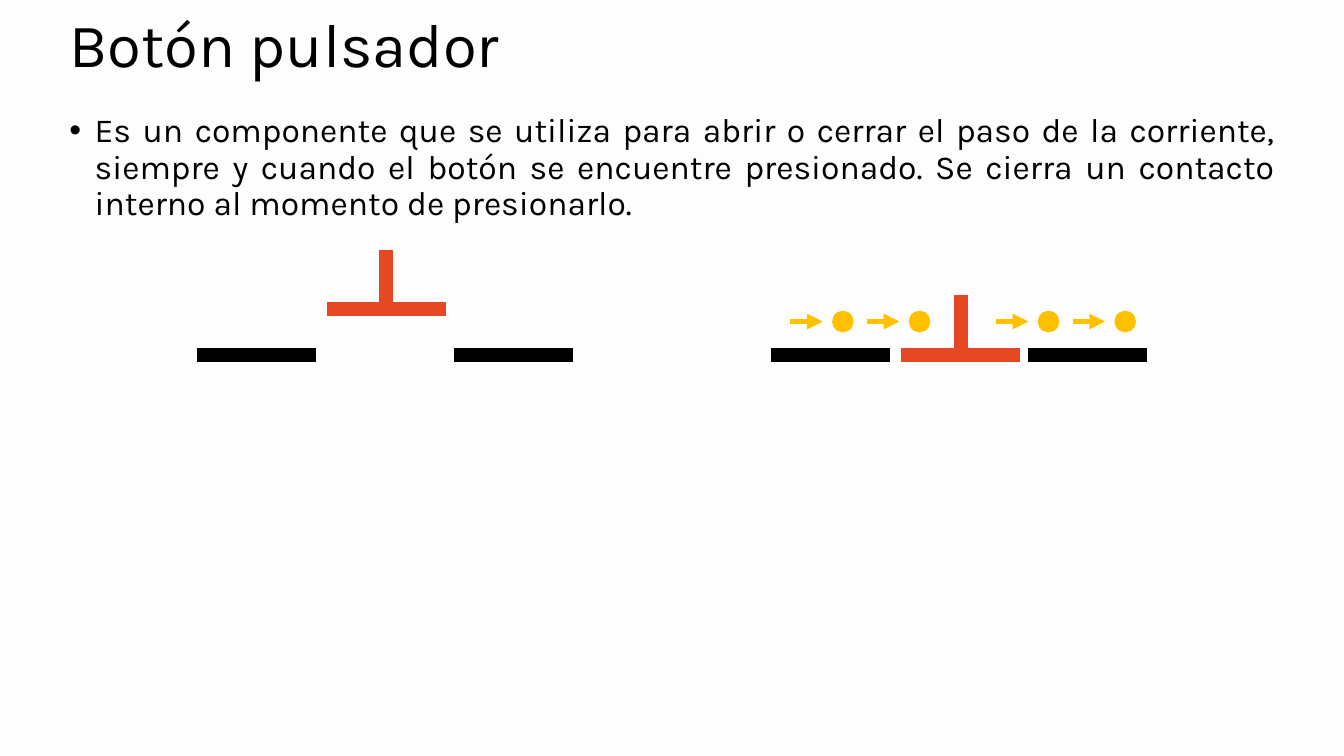
import pptx
import pptx.util
import pptx.dml.color
import pptx.enum.shapes
import pptx.enum.text
import pptx.oxml.ns
import lxml.etree

Inches = pptx.util.Inches
Pt = pptx.util.Pt
RGB = pptx.dml.color.RGBColor.from_string
qn = pptx.oxml.ns.qn
align = pptx.enum.text.PP_ALIGN
anchor = pptx.enum.text.MSO_ANCHOR

theme = {
    "font": "Karla", "title": 44, "body": 24,
    "back": "FDFDFD", "ink": "000000", "button": "E64823", "charge": "FFC000",
}


def add_text(text, top, height, size, side, middle):
    box = slide.shapes.add_textbox(Inches(0.59), Inches(top), Inches(12.15), Inches(height))
    frame = box.text_frame
    frame.word_wrap = True
    frame.vertical_anchor = middle
    frame.text = text
    para = frame.paragraphs[0]
    para.alignment = side
    para.line_spacing = 0.9
    font = para.runs[0].font
    font.name = theme["font"]
    font.size = Pt(size)
    font.color.rgb = RGB(theme["ink"])
    return para


def add_line(group, x1, y1, x2, y2, color, width):
    line = group.shapes.add_connector(
        pptx.enum.shapes.MSO_CONNECTOR.STRAIGHT,
        Inches(x1), Inches(y1), Inches(x2), Inches(y2))
    line.line.color.rgb = RGB(color)
    line.line.width = Pt(width)
    props = line._element.spPr
    lxml.etree.SubElement(props, qn("a:effectLst"))
    return line


deck = pptx.Presentation()
deck.slide_width = Inches(13.33)
deck.slide_height = Inches(7.5)
slide = deck.slides.add_slide(deck.slide_layouts[6])
slide.background.fill.solid()
slide.background.fill.fore_color.rgb = RGB(theme["back"])

add_text("Botón pulsador", 0.05, 0.84, theme["title"], align.LEFT, anchor.MIDDLE)
body = add_text(
    "Es un componente que se utiliza para abrir o cerrar el paso de la corriente, "
    "siempre y cuando el botón se encuentre presionado. Se cierra un contacto "
    "interno al momento de presionarlo.",
    1.08, 5.83, theme["body"], align.JUSTIFY, anchor.TOP)
props = body._p.get_or_add_pPr()
props.set("marL", str(Inches(0.25)))
props.set("indent", str(Inches(-0.25)))
lxml.etree.SubElement(props, qn("a:buFont")).set("typeface", "Arial")
lxml.etree.SubElement(props, qn("a:buChar")).set("char", "•")

base = 3.52
bar = 1.18
for left, level in [(1.95, 3.07), (7.65, base)]:
    switch = slide.shapes.add_group_shape()
    for start in (left, left + 2.55):
        add_line(switch, start, base, start + bar, base, theme["ink"], 10)
    start = left + 1.29
    stem = start + bar / 2
    add_line(switch, start, level, start + bar, level, theme["button"], 10)
    add_line(switch, stem, level - 0.59, stem, level, theme["button"], 10)

flow = 3.19
dot = 0.2
for side in (7.84, 9.88):
    for start in (side, side + 0.76):
        arrow = add_line(switch, start, flow, start + 0.32, flow, theme["charge"], 3.75)
        stroke = arrow.line._get_or_add_ln()
        lxml.etree.SubElement(stroke, qn("a:tailEnd")).set("type", "triangle")
        charge = switch.shapes.add_shape(
            pptx.enum.shapes.MSO_SHAPE.OVAL,
            Inches(start + 0.42), Inches(flow - dot / 2), Inches(dot), Inches(dot))
        charge.shadow.inherit = False
        charge.fill.solid()
        charge.fill.fore_color.rgb = RGB(theme["charge"])
        charge.line.color.rgb = RGB(theme["charge"])
        charge.line.width = Pt(1)

deck.save("out.pptx")
